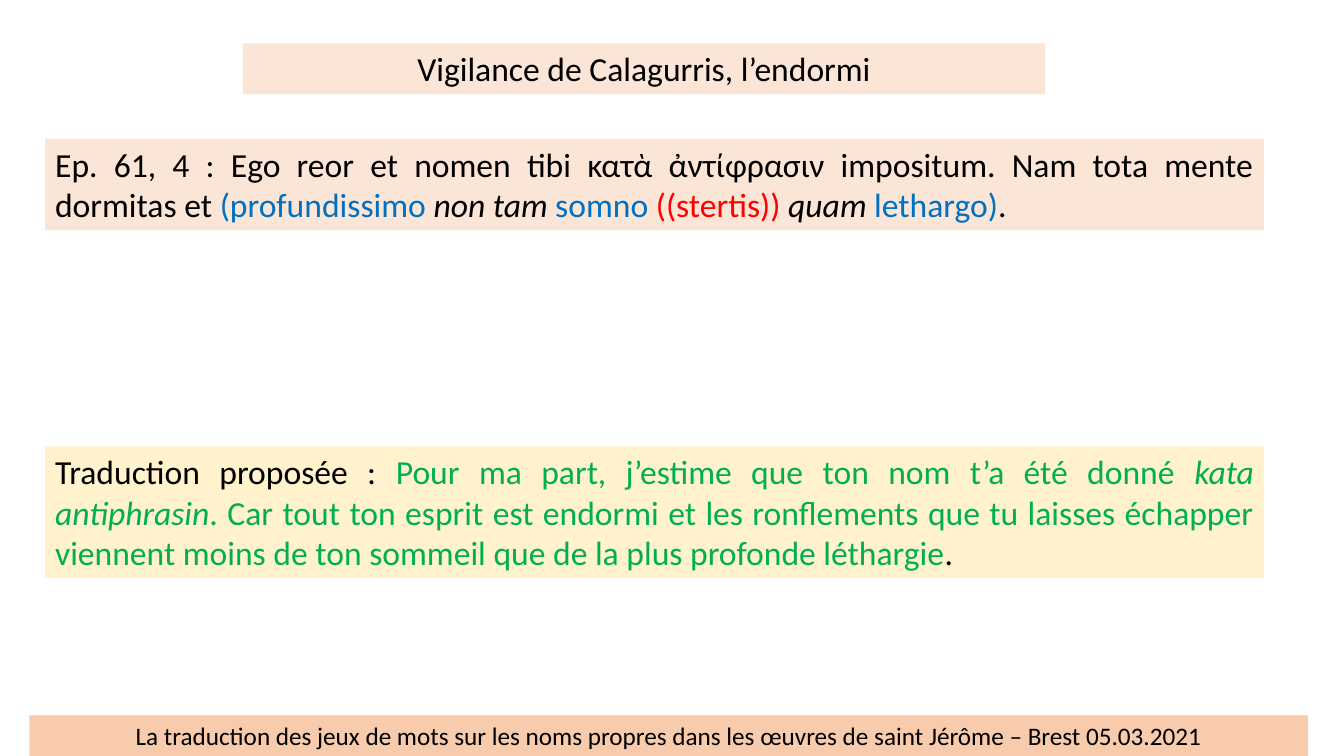
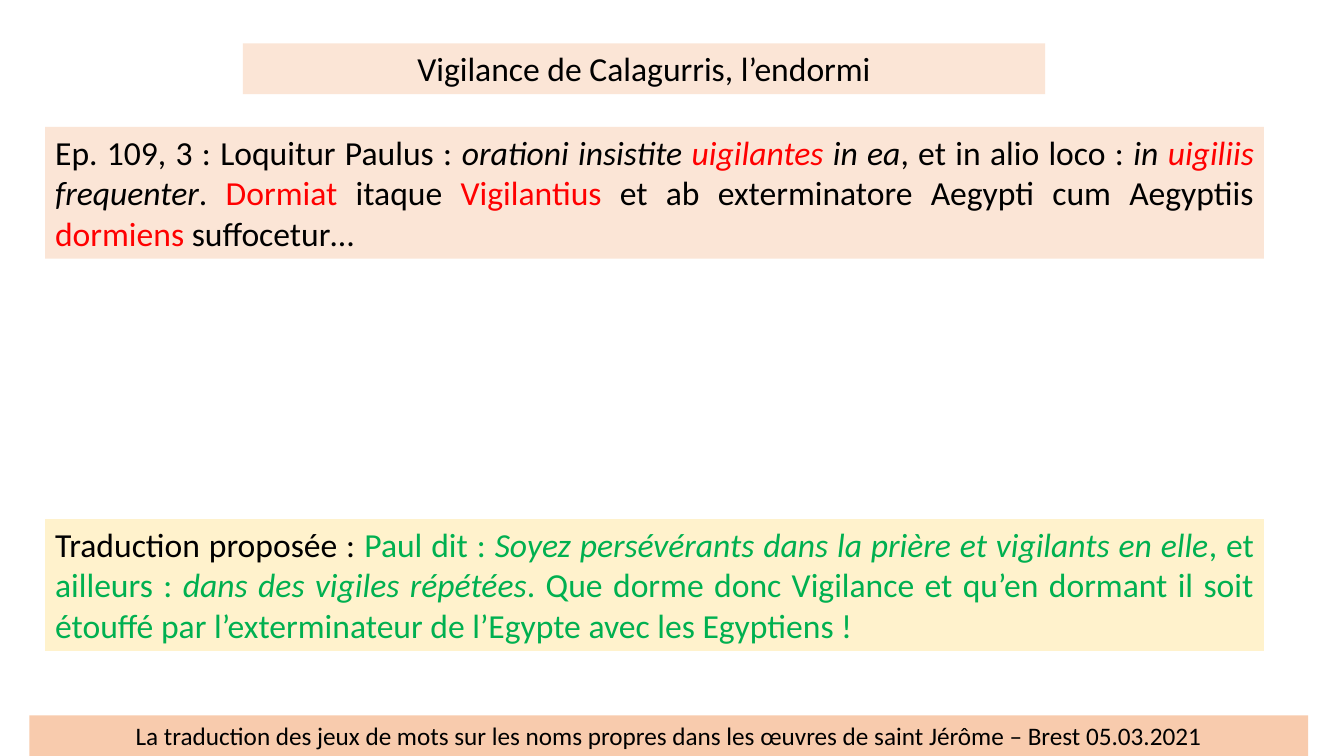
from collections import namedtuple
from dataclasses import dataclass

from pptx import Presentation
from pptx.dml.color import RGBColor
from pptx.enum.text import MSO_ANCHOR, MSO_AUTO_SIZE, PP_ALIGN
from pptx.util import Cm, Pt

Box = namedtuple("Box", "left top width height")


@dataclass(frozen=True)
class Theme:
    """Colours, font and type sizes shared by the slides."""

    font: str = "Calibri"
    body_size: int = 24
    footer_size: int = 18
    text: str = "000000"
    blue: str = "0070C0"
    red: str = "FF0000"
    green: str = "00B050"
    latin_band: str = "FBE5D6"
    french_band: str = "FFF2CC"
    footer_band: str = "F8CBAD"


THEME = Theme()
SLIDE_WIDTH, SLIDE_HEIGHT = 33.87, 19.05
LINE_HEIGHT, BAND_PADDING = 1.02, 0.26
PASSAGE_LEFT, PASSAGE_WIDTH = 1.14, 30.71
TITLE_BOX = Box(6.12, 1.09, 20.22, LINE_HEIGHT + BAND_PADDING)
FOOTER_BOX = Box(0.74, SLIDE_HEIGHT - LINE_HEIGHT, 32.23, LINE_HEIGHT)

TITLE = "Vigilance de Calagurris, l’endormi"
FOOTER = ("La traduction des jeux de mots sur les noms propres dans les œuvres "
          "de saint Jérôme – Brest 05.03.2021")

PLAIN = (THEME.text, False)
ITALIC = (THEME.text, True)
BLUE = (THEME.blue, False)
RED = (THEME.red, False)
RED_ITALIC = (THEME.red, True)
GREEN = (THEME.green, False)
GREEN_ITALIC = (THEME.green, True)

Passage = namedtuple("Passage", "top lines runs")

LETTERS = [
    {
        "latin": Passage(3.5, 2, [
            ("Ep. 61, 4 : Ego reor et nomen tibi κατὰ ἀντίφρασιν impositum. "
             "Nam tota mente dormitas et ", PLAIN),
            ("(profundissimo ", BLUE),
            ("non tam ", ITALIC),
            ("somno ", BLUE),
            ("((stertis)) ", RED),
            ("quam ", ITALIC),
            ("lethargo)", BLUE),
            (".", PLAIN),
        ]),
        "french": Passage(11.25, 3, [
            ("Traduction proposée : ", PLAIN),
            ("Pour ma part, j’estime que ton nom t’a été donné ", GREEN),
            ("kata antiphrasin", GREEN_ITALIC),
            (". Car tout ton esprit est endormi et les ronflements que tu laisses "
             "échapper viennent moins de ton sommeil que de la plus profonde "
             "léthargie", GREEN),
            (".", PLAIN),
        ]),
    },
    {
        "latin": Passage(3.2, 3, [
            ("Ep. 109, 3 : Loquitur Paulus : ", PLAIN),
            ("orationi insistite ", ITALIC),
            ("uigilantes", RED_ITALIC),
            (" in ea", ITALIC),
            (", et in alio loco : ", PLAIN),
            ("in ", ITALIC),
            ("uigiliis ", RED_ITALIC),
            ("frequenter", ITALIC),
            (". ", PLAIN),
            ("Dormiat ", RED),
            ("itaque ", PLAIN),
            ("Vigilantius", RED),
            (" et ab exterminatore Aegypti cum Aegyptiis ", PLAIN),
            ("dormiens ", RED),
            ("suffocetur…", PLAIN),
        ]),
        "french": Passage(13.08, 3, [
            ("Traduction proposée : ", PLAIN),
            ("Paul dit : ", GREEN),
            ("Soyez persévérants dans la prière et vigilants en elle", GREEN_ITALIC),
            (", et ailleurs : ", GREEN),
            ("dans des vigiles répétées", GREEN_ITALIC),
            (". Que dorme donc Vigilance et qu’en dormant il soit étouffé par "
             "l’exterminateur de l’Egypte avec les Egyptiens !", GREEN),
        ]),
    },
]


def set_attributes(target, values):
    """Set each named attribute of the target."""
    for name, value in values.items():
        setattr(target, name, value)


def format_band(band, box, fill, runs, size=THEME.body_size, alignment=PP_ALIGN.CENTER):
    """Place a filled band in its box and write its styled runs."""
    set_attributes(band, {side: Cm(length) for side, length in box._asdict().items()})
    band.fill.solid()
    band.fill.fore_color.rgb = RGBColor.from_string(fill)
    frame = band.text_frame
    set_attributes(frame, {
        "word_wrap": True,
        "auto_size": MSO_AUTO_SIZE.NONE,
        "vertical_anchor": MSO_ANCHOR.TOP,
    })
    paragraph = frame.paragraphs[0]
    paragraph.alignment = alignment
    for text, (colour, italic) in runs:
        run = paragraph.add_run()
        run.text = text
        set_attributes(run.font, {"name": THEME.font, "size": Pt(size), "italic": italic})
        run.font.color.rgb = RGBColor.from_string(colour)


def add_band(slide, box):
    """Add an empty text band to the slide."""
    return slide.shapes.add_textbox(*(Cm(length) for length in box))


def add_footer(slide, box):
    """Add the conference footer band."""
    format_band(add_band(slide, box), box, THEME.footer_band, [(FOOTER, PLAIN)],
                size=THEME.footer_size)


def add_passage(slide, passage, fill):
    """Add a justified passage whose height follows its line count."""
    box = Box(PASSAGE_LEFT, passage.top, PASSAGE_WIDTH,
              passage.lines * LINE_HEIGHT + BAND_PADDING)
    format_band(add_band(slide, box), box, fill, passage.runs,
                alignment=PP_ALIGN.JUSTIFY)


def add_letter_slide(presentation, letter):
    """Add a slide with a Latin passage and its French translation."""
    slide = presentation.slides.add_slide(presentation.slide_layouts[5])
    format_band(slide.shapes.title, TITLE_BOX, THEME.latin_band, [(TITLE, PLAIN)])
    add_passage(slide, letter["latin"], THEME.latin_band)
    add_passage(slide, letter["french"], THEME.french_band)
    add_footer(slide, FOOTER_BOX)


def main():
    """Build and save the presentation."""
    presentation = Presentation()
    set_attributes(presentation, {
        "slide_width": Cm(SLIDE_WIDTH),
        "slide_height": Cm(SLIDE_HEIGHT),
    })
    for letter in LETTERS:
        add_letter_slide(presentation, letter)
    presentation.save("out.pptx")


if __name__ == "__main__":
    main()
